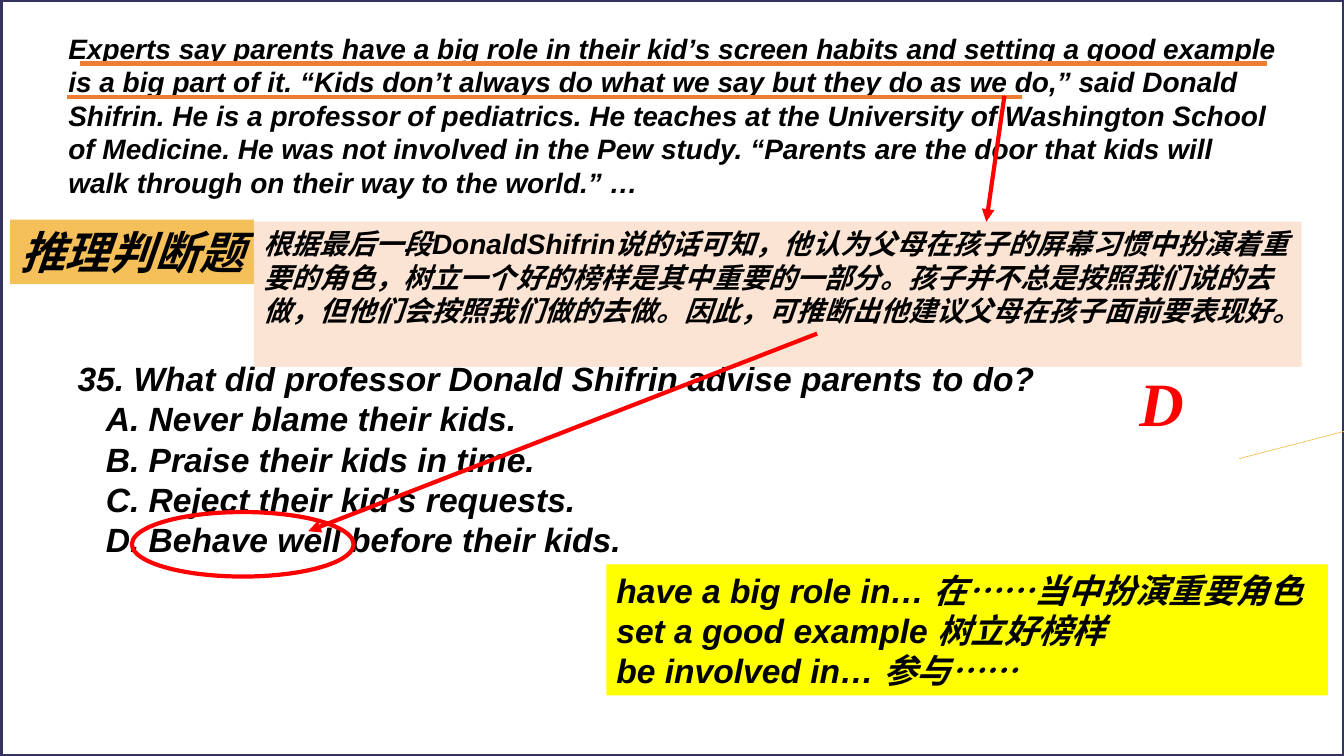
from lxml.etree import SubElement
from pptx import Presentation
from pptx.dml.color import RGBColor
from pptx.enum.shapes import MSO_CONNECTOR, MSO_SHAPE
from pptx.enum.text import MSO_ANCHOR, MSO_AUTO_SIZE, PP_ALIGN
from pptx.oxml.ns import qn
from pptx.util import Inches, Pt

# Content
PASSAGE = [
    "Experts say parents have a big role in their kid’s screen habits and setting a good "
    "example is a big part of it. “Kids don’t always do what we say but they do as we do,” "
    "said Donald Shifrin. He is a professor of pediatrics. He teaches at the University of "
    "Washington School of Medicine. He was not involved in the Pew study. “Parents are the "
    "door that kids will walk through on their way to the world.” …"
]
QUESTION_TYPE = ["推理判断题"]
EXPLANATION = [
    "根据最后一段DonaldShifrin说的话可知，他认为父母在孩子的屏幕习惯中扮演着重要的角色，"
    "树立一个好的榜样是其中重要的一部分。孩子并不总是按照我们说的去做，但他们会按照我们做的去做。"
    "因此，可推断出他建议父母在孩子面前要表现好。"
]
QUESTION = [
    "35. What did professor Donald Shifrin advise parents to do?",
    "A. Never blame their kids.",
    "B. Praise their kids in time.",
    "C. Reject their kid’s requests.",
    "D. Behave well before their kids.",
]
PHRASES = [
    "have a big role in… 在……当中扮演重要角色",
    "set a good example 树立好榜样",
    "be involved in… 参与……",
]
ANSWER = ["D"]

COLORS = {
    "text": "000000", "frame": "33335E", "gold": "F5C059", "peach": "FBE4D4",
    "yellow": "FFFF00", "orange": "ED7D31", "red": "FF0000",
}
CJK_FONT = "Noto Sans CJK SC"
OPTION_INDENT = Inches(0.28)

# Lines: start, end, colour, width, arrowhead
LINES = [
    ((12.3, 4.55), (13.34, 4.28), "gold", 0.5, False),
    ((0.79, 0.63), (12.58, 0.63), "orange", 3, False),
    ((0.67, 0.96), (10.14, 0.96), "orange", 3, False),
    ((9.97, 0.95), (9.79, 2.2), "red", 3, True),
    ((8.11, 3.31), (3.06, 5.27), "red", 3, True),
]


def color(key):
    return RGBColor.from_string(COLORS[key])


def place(shape, box):
    for side, length in zip(("left", "top", "width", "height"), box):
        setattr(shape, side, Inches(length))


def write(shape, lines, size, font="Arial", ink="text", right_margin=0.1, option_indent=0):
    frame = shape.text_frame
    frame_format = {
        "word_wrap": True, "auto_size": MSO_AUTO_SIZE.NONE, "vertical_anchor": MSO_ANCHOR.TOP,
        "margin_left": Inches(0.1), "margin_right": Inches(right_margin),
        "margin_top": Inches(0.05), "margin_bottom": Inches(0.05),
    }
    for name, value in frame_format.items():
        setattr(frame, name, value)
    for number, line in enumerate(lines):
        paragraph = frame.add_paragraph() if number else frame.paragraphs[0]
        properties = paragraph._p.get_or_add_pPr()
        properties.set("marL", str(option_indent if number else 0))
        properties.set("indent", "0")
        SubElement(properties, qn("a:buNone"))
        paragraph_format = {
            "alignment": PP_ALIGN.LEFT, "line_spacing": 1.0,
            "space_before": Pt(0), "space_after": Pt(0),
        }
        for name, value in paragraph_format.items():
            setattr(paragraph, name, value)
        run = paragraph.add_run()
        run.text = line
        run_format = {"name": font, "size": Pt(size), "bold": True, "italic": True}
        for name, value in run_format.items():
            setattr(run.font, name, value)
        run.font.color.rgb = color(ink)
        SubElement(run._r.rPr, qn("a:ea")).set("typeface", CJK_FONT)


def fill(shape, key):
    shape.fill.solid()
    shape.fill.fore_color.rgb = color(key)


def add_outline(slide, kind, box, key):
    outline = slide.shapes.add_shape(kind, *map(Inches, box))
    outline.shadow.inherit = False
    outline.fill.background()
    outline.line.color.rgb = color(key)
    outline.line.width = Pt(3)


def add_text(slide, box, lines, size, background=None, **style):
    text_box = slide.shapes.add_textbox(*map(Inches, box))
    if background:
        fill(text_box, background)
    write(text_box, lines, size, **style)


def add_line(slide, start, end, key, width, arrow):
    line = slide.shapes.add_connector(MSO_CONNECTOR.STRAIGHT, *map(Inches, start + end))
    line.line.color.rgb = color(key)
    line.line.width = Pt(width)
    if arrow:
        SubElement(line.line._get_or_add_ln(), qn("a:tailEnd")).set("type", "triangle")
    SubElement(line._element.spPr, qn("a:effectLst"))


def main():
    deck = Presentation()
    deck.slide_width, deck.slide_height = Inches(13.34), Inches(7.5)
    slide = deck.slides.add_slide(deck.slide_layouts[1])

    # Question type, kept on one line by a zero right margin, and question with its options
    question_type, question = slide.placeholders
    place(question_type, (0.1, 2.18, 2.42, 0.64))
    fill(question_type, "gold")
    write(question_type, QUESTION_TYPE, 32, font=CJK_FONT, right_margin=0)
    place(question, (0.67, 3.5, 12.35, 2.1))
    write(question, QUESTION, 24, option_indent=OPTION_INDENT)

    # Slide frame, explanation, passage and answer
    add_outline(slide, MSO_SHAPE.RECTANGLE, (0.01, 0, 13.33, 7.5), "frame")
    add_text(slide, (2.52, 2.2, 10.4, 1.44), EXPLANATION, 20, "peach")
    add_text(slide, (0.58, 0.26, 12.24, 1.77), PASSAGE, 20)
    add_text(slide, (11.21, 3.57, 0.59, 1.57), ANSWER, 44, font="Times New Roman", ink="red")

    # Underlines, arrows and the circled answer
    for line in LINES:
        add_line(slide, *line)
    add_outline(slide, MSO_SHAPE.OVAL, (1.31, 5.08, 2.2, 0.64), "red")

    # Useful phrases
    add_text(slide, (6.02, 5.6, 7.16, 1.3), PHRASES, 24, "yellow")
    deck.save("out.pptx")


if __name__ == "__main__":
    main()
